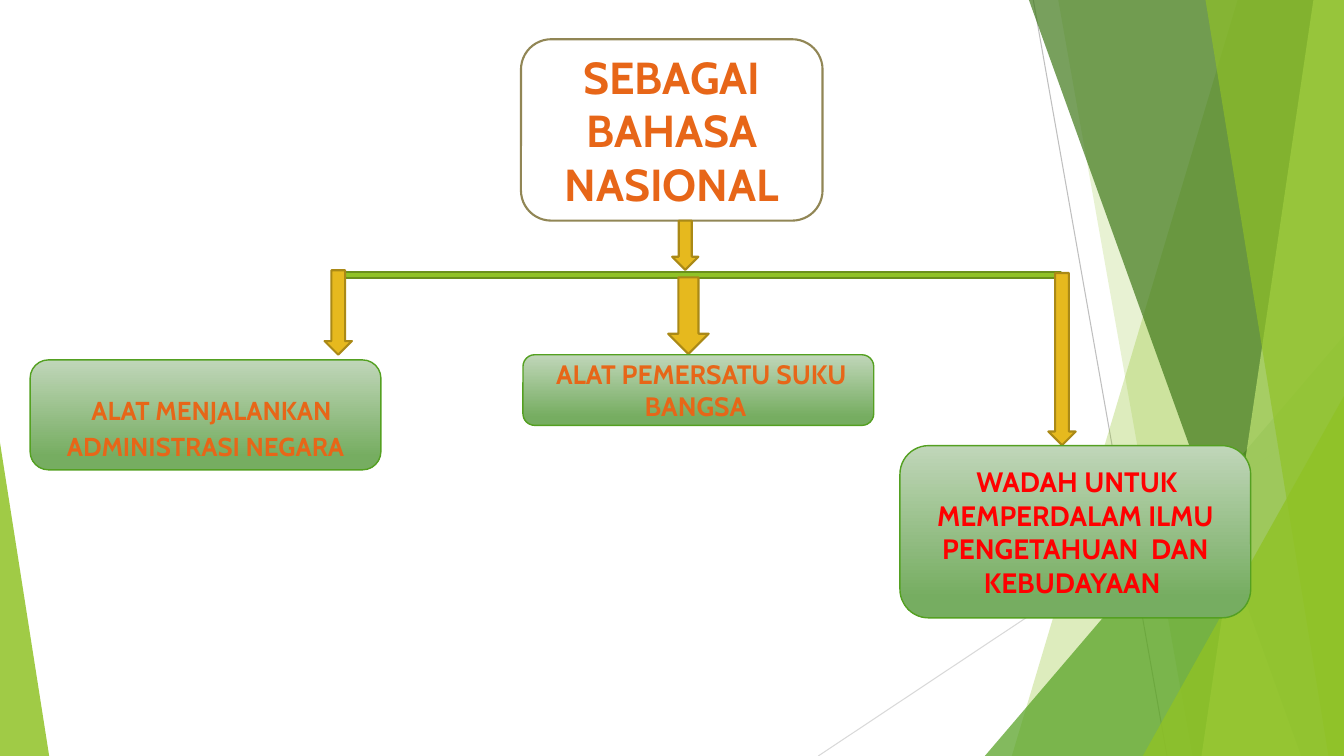
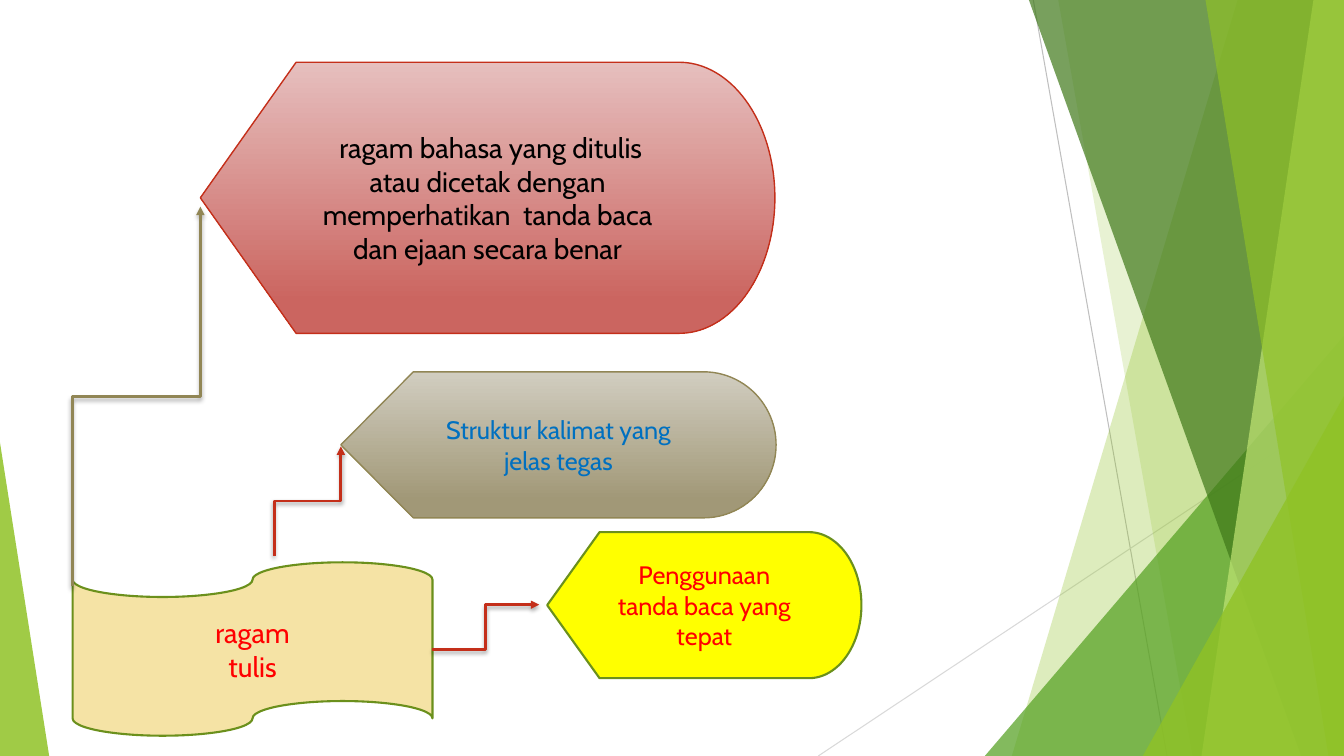
from lxml.etree import SubElement
from pptx import Presentation
from pptx.dml.color import RGBColor
from pptx.enum.shapes import MSO_CONNECTOR, MSO_SHAPE
from pptx.enum.text import MSO_ANCHOR, MSO_AUTO_SIZE, PP_ALIGN
from pptx.oxml.ns import qn
from pptx.util import Cm, Pt

WIDE, HIGH = 33.87, 19.05
FONT = "Cabin"
LIME, MOSS, LEAF = "90C226", "6B901C", "54A021"
GOLD, OCHRE, TAUPE = "E6B91E", "AA8916", "918655"
ORANGE, RED, BRICK = "E76618", "FF0000", "C42F1A"


def color(code):
    return RGBColor.from_string(code)


def paint(shape, fill, line=None, width=1.5, alpha=None):
    """Fill with one colour, or with a vertical blend for a pair of them."""
    shape.shadow.inherit = False
    if isinstance(fill, tuple):
        shape.fill.gradient()
        shape.fill.gradient_angle = 270
        for stop, code, pos in zip(shape.fill.gradient_stops, fill, (0, 0.88)):
            stop.color.rgb = color(code)
            stop.position = pos
    else:
        shape.fill.solid()
        shape.fill.fore_color.rgb = color(fill)
    if alpha:
        tint = shape.element.spPr.find(".//" + qn("a:srgbClr"))
        SubElement(tint, qn("a:alpha")).set("val", str(alpha * 1000))
    if line:
        shape.line.color.rgb = color(line)
        shape.line.width = Pt(width)
    else:
        shape.line.fill.background()
    return shape


def draw(slide, kind, box, *look, **more):
    shape = slide.shapes.add_shape(kind, *map(Cm, box))
    return paint(shape, *look, **more)


def style(shape, size, code, bold=False, before=0):
    frame = shape.text_frame
    frame.word_wrap = True
    frame.auto_size = MSO_AUTO_SIZE.NONE
    frame.vertical_anchor = MSO_ANCHOR.MIDDLE
    for para in frame.paragraphs:
        para.alignment = PP_ALIGN.CENTER
        para.space_before = Pt(before)
        for run in para.runs:
            run.font.name, run.font.size = FONT, Pt(size)
            run.font.bold, run.font.color.rgb = bold, color(code)


def head(slide, kind, box, text, size, code, bold, *look):
    """Title placeholder on top of a drawn frame."""
    draw(slide, kind, box, *look)
    title = slide.shapes.title
    title.left, title.top, title.width, title.height = map(Cm, box)
    title.text_frame.text = text
    style(title, size, code, bold)
    slide.shapes.element.append(title.element)


# Shared backdrop, kept on the master
def strip(slide, top, foot, code, alpha):
    path = slide.shapes.build_freeform(Cm(top), Cm(0))
    path.add_line_segments([(Cm(x), Cm(y)) for x, y in
                            ((WIDE, 0), (WIDE, HIGH), (foot, HIGH))])
    return paint(path.convert_to_shape(), code, alpha=alpha)


def wedge(slide, left, top, right, peak, code, alpha):
    shape = draw(slide, MSO_SHAPE.ISOSCELES_TRIANGLE,
                 (left, top, right - left, HIGH - top), code, alpha=alpha)
    shape.adjustments[0] = peak
    return shape


def ray(slide, ends, code):
    line = slide.shapes.add_connector(MSO_CONNECTOR.STRAIGHT, *map(Cm, ends))
    line.line.color.rgb = color(code)
    line.line.width = Pt(0.75)
    SubElement(line.element.spPr, qn("a:effectLst"))
    return line


def backdrop(master, slide):
    parts = [
        ray(slide, (26.04, 0, 29.41, HIGH), "BFBFBF"),
        ray(slide, (WIDE, 10.24, 20.62, HIGH), "D9D9D9"),
        strip(slide, 31.19, 25.5, LIME, 30),
        strip(slide, 26.67, 30.05, LIME, 20),
        wedge(slide, 24.82, 8.46, WIDE, 1, LEAF, 72),
        strip(slide, 25.93, 32.79, "3F7819", 70),
        strip(slide, 33.1, 30.28, "C0E474", 70),
        strip(slide, 30.38, 33.48, LIME, 65),
        wedge(slide, 28.8, 9.98, WIDE, 1, LIME, 80),
        wedge(slide, 0, 11.15, 1.24, 0, LIME, 85),
    ]
    for part in parts:
        master.shapes.element.append(part.element)


# Slide 1: tree of functions
def arrow(slide, box):
    draw(slide, MSO_SHAPE.DOWN_ARROW, box, GOLD, OCHRE)


def branch(slide, box, drop, lead, text, size, code):
    """Card with an arrow above it; lead is the size of the first space."""
    left, top, _, _ = box
    shift, rise, wide, high = drop
    arrow(slide, (left + shift, top - rise, wide, high))
    card = draw(slide, MSO_SHAPE.ROUNDED_RECTANGLE, box,
                ("C0D6B9", "76AD61"), LEAF, 1)
    para = card.text_frame.paragraphs[0]
    para.text = " "
    para.add_run().text = text
    style(card, size, code, True, 10)
    para.runs[0].font.size = Pt(lead)


def tree(slide):
    head(slide, MSO_SHAPE.ROUNDED_RECTANGLE, (13.13, 0.99, 7.6, 4.57),
         "SEBAGAI BAHASA NASIONAL", 32, ORANGE, True, "FFFFFF", TAUPE)
    arrow(slide, (16.94, 5.56, 0.66, 1.24))
    draw(slide, MSO_SHAPE.MATH_MINUS, (5.18, 6.63, 24.84, 0.61), LIME, MOSS)
    wide = 8.84
    branch(slide, (0.76, 9.07, wide, 2.77), (7.42, 2.26, 0.69, 2.13), 37,
           "ALAT MENJALANKAN ADMINISTRASI NEGARA", 18.5, ORANGE)
    branch(slide, (13.18, 8.94, wide, 1.78), (3.66, 1.95, 1.02, 1.93), 19,
           "ALAT PEMERSATU SUKU BANGSA ", 19, ORANGE)
    branch(slide, (22.68, 11.23, wide, 4.34), (3.74, 4.35, 0.69, 4.34), 10,
           "WADAH UNTUK MEMPERDALAM ILMU PENGETAHUAN  DAN KEBUDAYAAN ",
           20, RED)


# Slide 2: written variety and its traits
def elbow(slide, x1, y1, x2, y2, code, upright=False):
    """Bent arrow; an upright one leaves vertically, by a quarter turn."""
    if upright:
        midx, midy = (x1 + x2) / 2, (y1 + y2) / 2
        dx, dy = x1 - midx, y1 - midy
        x1, y1, x2, y2 = midx + dy, midy - dx, midx - dy, midy + dx
    link = slide.shapes.add_connector(MSO_CONNECTOR.ELBOW,
                                      *map(Cm, (x1, y1, x2, y2)))
    link.line.color.rgb = color(code)
    link.line.width = Pt(2)
    props = link.element.spPr
    if upright:
        props.find(qn("a:xfrm")).set("rot", "5400000")
    SubElement(props.find(qn("a:ln")), qn("a:tailEnd")).set("type", "triangle")
    glow = SubElement(SubElement(props, qn("a:effectLst")), qn("a:outerShdw"),
                      blurRad="38100", dist="25400", dir="5400000",
                      rotWithShape="0")
    tint = SubElement(glow, qn("a:srgbClr"), val="000000")
    SubElement(tint, qn("a:alpha"), val="35000")


def trait(slide, box, text, size, code, *look):
    tag = draw(slide, MSO_SHAPE.FLOWCHART_DISPLAY, box, *look)
    tag.text_frame.text = text
    style(tag, size, code)


def traits(slide):
    head(slide, MSO_SHAPE.FLOWCHART_PUNCHED_TAPE, (1.83, 14.17, 9.07, 4.37),
         "ragam\ntulis", 20, RED, False, "F5E3A5", MOSS)
    elbow(slide, 1.83, 14.78, 5.05, 5.21, TAUPE, True)
    elbow(slide, 10.9, 16.36, 13.59, 15.24, BRICK)
    elbow(slide, 6.91, 14, 8.59, 11.25, BRICK, True)
    trait(slide, (5.05, 1.57, 14.48, 6.83),
          " ragam bahasa yang ditulis atau dicetak dengan memperhatikan  "
          "tanda baca dan ejaan secara benar",
          20, "000000", ("E6BFBE", "CB6560"), BRICK, 1)
    trait(slide, (8.59, 9.37, 10.97, 3.68),
          "Struktur kalimat yang jelas tegas",
          18, "0070C0", ("D1CDC0", "A19877"), TAUPE, 1)
    trait(slide, (13.79, 13.41, 7.92, 3.68),
          "Penggunaan tanda baca yang tepat", 18, RED, "FFFF00", MOSS)


def main():
    prs = Presentation()
    prs.slide_width, prs.slide_height = Cm(WIDE), Cm(HIGH)
    layout = prs.slide_layouts[5]
    first, second = (prs.slides.add_slide(layout) for _ in range(2))
    backdrop(prs.slide_master, first)
    tree(first)
    traits(second)
    prs.save("out.pptx")


if __name__ == "__main__":
    main()
